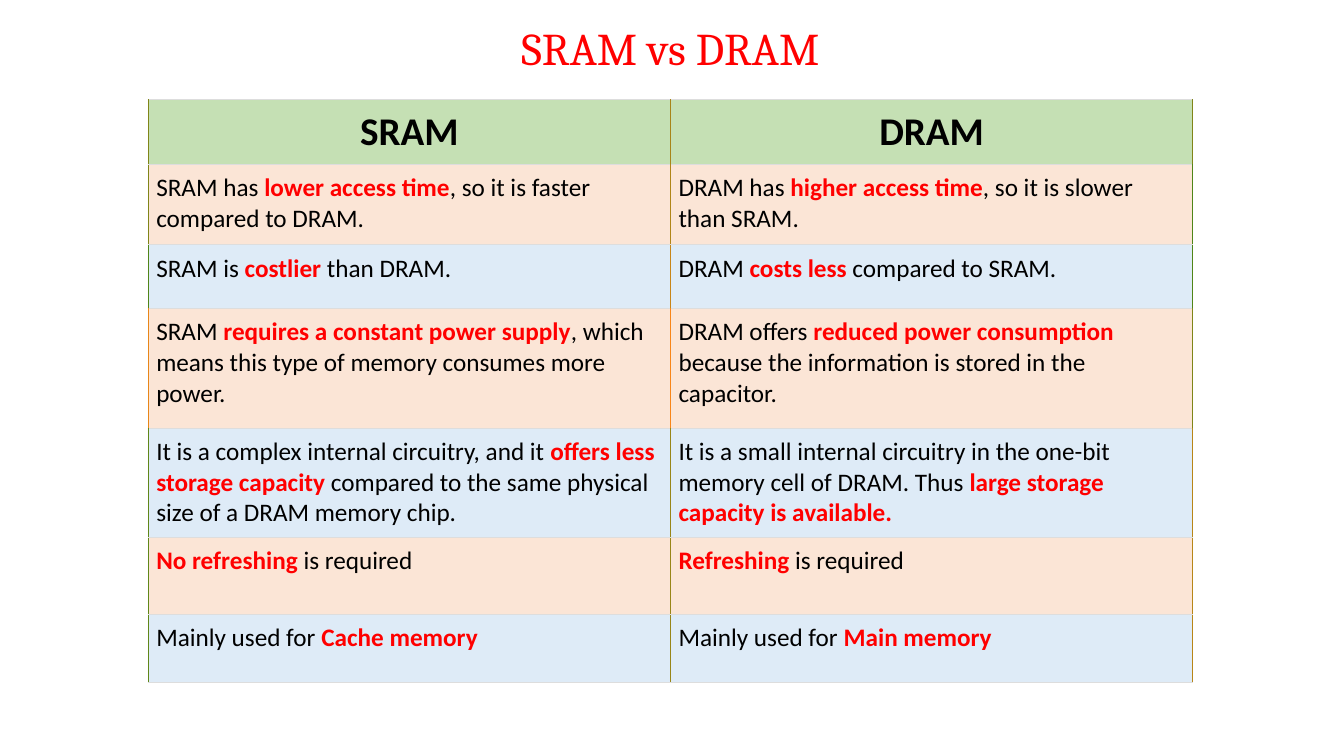
"""Build a slide that compares SRAM with DRAM in a two-column table."""
from lxml.etree import SubElement
from pptx import Presentation
from pptx.dml.color import RGBColor
from pptx.enum.text import MSO_ANCHOR, PP_ALIGN
from pptx.oxml import parse_xml
from pptx.oxml.ns import nsdecls
from pptx.util import Inches, Pt

TITLE = "SRAM vs DRAM"
HEADS = ("SRAM", "DRAM")
ROWS = [
    ("SRAM has *lower access time*, so it is faster compared to DRAM.",
     "DRAM has *higher access time*, so it is slower than SRAM."),
    ("SRAM is *costlier *than DRAM.",
     "DRAM *costs less *compared to SRAM."),
    ("SRAM *requires a constant power supply*, which means this type of memory consumes more power.",
     "DRAM offers *reduced power consumption *because the information is stored in the capacitor."),
    ("It is a complex internal circuitry, and it *offers less storage capacity *"
     "compared to the same physical size of a DRAM memory chip.",
     "It is a small internal circuitry in the one-bit memory cell of DRAM. Thus "
     "*large storage capacity is available.*"),
    ("*No refreshing *is required", "*Refreshing* is required"),
    ("Mainly used for *Cache memory*", "Mainly used for *Main memory*"),
]
HIGH = (0.64, 0.8, 0.63, 1.19, 1.08, 0.77, 0.67)
LAST = ("608718", "988518", "B88618")
EDGES = [
    ("808518", "A88418", "808518"),
    ("808518", "B08518", "508518"),
    ("508518", "C88518", "508518"),
    ("E88618", "F88518", "808518"),
    LAST, LAST, LAST,
]
RULE = "DDDDDD"

RED = RGBColor(0xFF, 0x00, 0x00)
BLACK = RGBColor(0x00, 0x00, 0x00)
GREEN = RGBColor(0xC5, 0xE0, 0xB4)
PEACH = RGBColor(0xFB, 0xE5, 0xD6)
BLUE = RGBColor(0xDE, 0xEB, 0xF7)

WIDE, TALL = 13.33, 7.5
LEFT, TOP, COL = 1.47, 0.99, 5.18
PAD = Inches(0.08)


def style(run, name, size, color, bold=False):
    font = run.font
    font.name, font.size, font.bold = name, Pt(size), bold
    font.color.rgb = color


def border(cell, sides):
    props = cell._tc.get_or_add_tcPr()
    for spot, (side, color, width) in enumerate(sides):
        line = parse_xml(f'<a:ln{side} {nsdecls("a")} w="{Pt(width)}"><a:solidFill>'
                         f'<a:srgbClr val="{color}"/></a:solidFill></a:ln{side}>')
        props.insert(spot, line)


def fill_cell(cell, text, row, col):
    head = row == 0
    cell.margin_left = cell.margin_right = PAD
    cell.margin_top = cell.margin_bottom = PAD
    cell.fill.solid()
    cell.fill.fore_color.rgb = GREEN if head else (BLUE, PEACH)[row % 2]
    para = cell.text_frame.paragraphs[0]
    para.alignment = PP_ALIGN.CENTER if head else PP_ALIGN.LEFT
    for spot, part in enumerate(text.split("*")):
        if part:
            run = para.add_run()
            run.text = part
            key = spot % 2 == 1
            style(run, "Calibri", 28 if head else 18, RED if key else BLACK, head or key)
    border(cell, (("L", EDGES[row][col], 1), ("R", EDGES[row][col + 1], 1),
                  ("T", RULE, 0.75), ("B", RULE, 0.75)))


def add_title(slide):
    box = slide.shapes.add_textbox(Inches(0.9), Inches(0.21), Inches(11.5), Inches(0.58))
    frame = box.text_frame
    frame.word_wrap = True
    frame.vertical_anchor = MSO_ANCHOR.MIDDLE
    frame.text = TITLE
    para = frame.paragraphs[0]
    para.alignment, para.line_spacing = PP_ALIGN.CENTER, 0.9
    style(para.runs[0], "Cambria", 32.4, RED)


def add_grid(slide):
    data = [HEADS, *ROWS]
    table = slide.shapes.add_table(len(data), len(HEADS), Inches(LEFT), Inches(TOP),
                                   Inches(COL * len(HEADS)), Inches(sum(HIGH))).table
    table.first_row = table.horz_banding = False
    for col in table.columns:
        col.width = Inches(COL)
    for row, texts in enumerate(data):
        table.rows[row].height = Inches(HIGH[row])
        for col, text in enumerate(texts):
            fill_cell(table.cell(row, col), text, row, col)


def main():
    deck = Presentation()
    deck.slide_width, deck.slide_height = Inches(WIDE), Inches(TALL)
    slide = deck.slides.add_slide(deck.slide_layouts[6])
    add_title(slide)
    add_grid(slide)
    deck.save("out.pptx")


if __name__ == "__main__":
    main()
